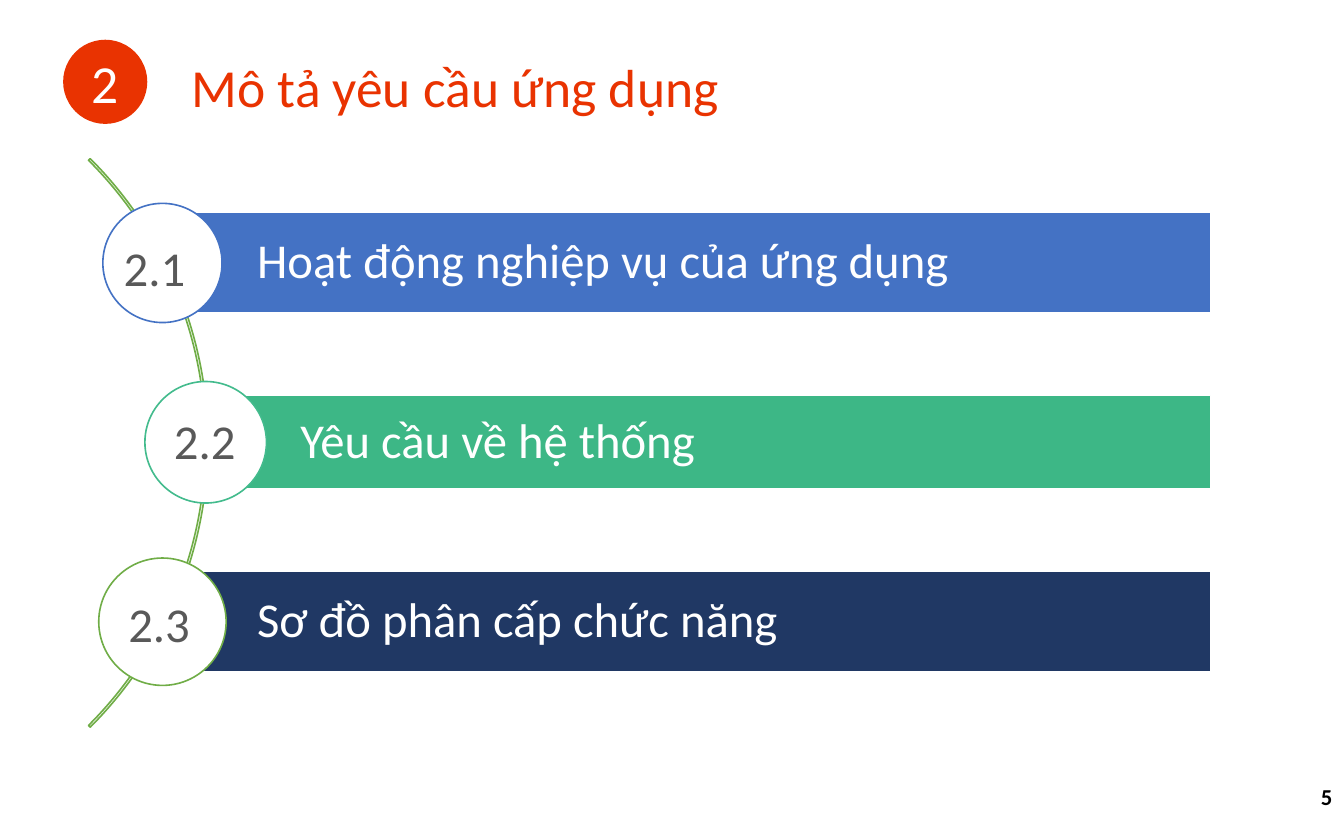
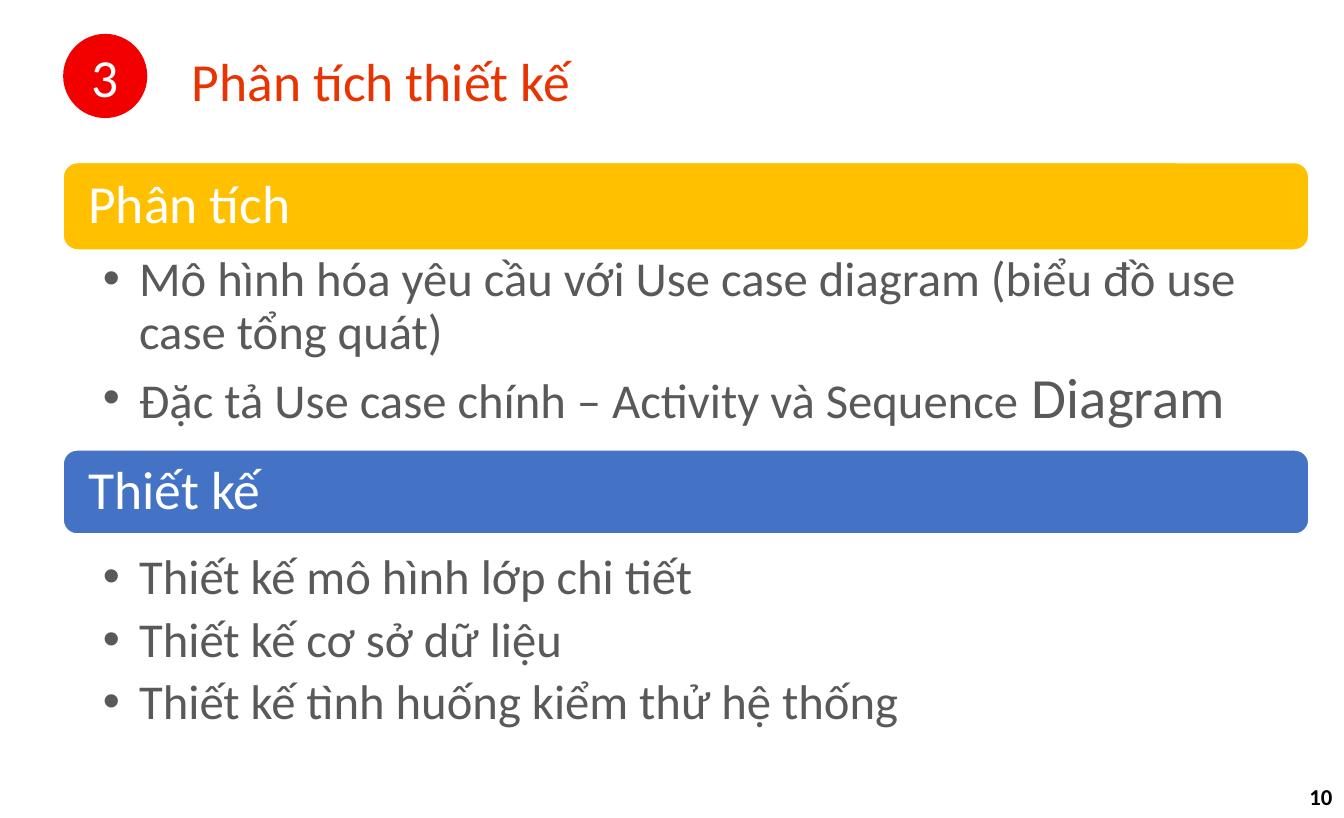
from pptx import Presentation
from pptx.dml.color import RGBColor
from pptx.enum.shapes import MSO_SHAPE
from pptx.enum.text import MSO_ANCHOR, MSO_AUTO_SIZE, PP_ALIGN
from pptx.util import Inches, Pt

COLUMNS, ROWS = 115, 70
WHITE, BLACK, GRAY = "FFFFFF", "000000", "595959"
ORANGE, RED, GOLD = "E93301", "F20000", "FFC000"
BLUE, NAVY, GREEN = "4472C4", "203864", "70AD47"
TEAL, TEAL_EDGE = "3DB786", "43BB8D"


def color(value):
    return RGBColor.from_string(value)


class Deck:
    font = "Calibri"
    heading_size, text_size, number_size = 33, 30, 14
    bullet_indent = Inches(0.31)

    def __init__(self):
        self.deck = Presentation()
        self.deck.slide_width, self.deck.slide_height = Inches(11.5), Inches(7)
        self.page = None

    def area(self, left, top, width, height):
        column = self.deck.slide_width / COLUMNS
        row = self.deck.slide_height / ROWS
        return (round(left * column), round(top * row),
                round(width * column), round(height * row))

    def new_page(self, layout, number, title, title_area, section, badge_top, badge_fill):
        self.page = self.deck.slides.add_slide(self.deck.slide_layouts.get_by_name(layout))
        heading = self.page.shapes.title
        self.place(heading, title_area)
        self.fill_text(heading, title, self.heading_size, ORANGE)
        badge = self.shape(MSO_SHAPE.FLOWCHART_CONNECTOR, (5.4, badge_top, 7.2, 7.2), badge_fill)
        self.fill_text(badge, section, self.heading_size, WHITE,
                       PP_ALIGN.CENTER, MSO_ANCHOR.MIDDLE)
        self.label((89.1, 66.3, 25.9, 3.7), number, self.number_size, BLACK,
                   PP_ALIGN.RIGHT, MSO_ANCHOR.MIDDLE, bold=True)

    def place(self, box, area):
        box.left, box.top, box.width, box.height = self.area(*area)

    def style(self, span, size, ink, bold=False):
        span.font.name, span.font.size = self.font, Pt(size)
        span.font.color.rgb, span.font.bold = color(ink), bold

    def fill_text(self, box, text, size, ink, align=PP_ALIGN.LEFT,
                  anchor=MSO_ANCHOR.TOP, bold=False):
        frame = box.text_frame
        frame.text = text
        frame.word_wrap, frame.auto_size = True, MSO_AUTO_SIZE.NONE
        frame.vertical_anchor = anchor
        para = frame.paragraphs[0]
        para.alignment = align
        for span in para.runs:
            self.style(span, size, ink, bold)
        return frame

    def label(self, area, text, size, ink, align=PP_ALIGN.LEFT,
              anchor=MSO_ANCHOR.TOP, bold=False):
        box = self.page.shapes.add_textbox(*self.area(*area))
        self.fill_text(box, text, size, ink, align, anchor, bold)

    def shape(self, kind, area, fill=None, line=None):
        box = self.page.shapes.add_shape(kind, *self.area(*area))
        box.shadow.inherit = False
        if fill:
            box.fill.solid()
            box.fill.fore_color.rgb = color(fill)
        else:
            box.fill.background()
        if line:
            box.line.color.rgb, box.line.width = color(line), Pt(1)
        else:
            box.line.fill.background()
        return box

    def bar(self, kind, area, fill, text, size, inset):
        box = self.shape(kind, area, fill, WHITE)
        frame = self.fill_text(box, text, size, WHITE, anchor=MSO_ANCHOR.MIDDLE)
        frame.margin_left = Inches(inset)
        frame.paragraphs[0].line_spacing = 0.9

    def bullets(self, body, area, items):
        self.place(body, area)
        frame = self.fill_text(body, "", self.text_size, GRAY)
        frame.margin_left, frame.margin_right = Inches(0.34), Inches(0.23)
        frame.margin_top = frame.margin_bottom = Inches(0.04)
        for index, (text, ending, ending_size) in enumerate(items):
            para = frame.add_paragraph() if index else frame.paragraphs[0]
            para.text = text
            para.alignment = PP_ALIGN.LEFT
            para.line_spacing, para.space_before, para.space_after = 0.9, Pt(0), Pt(6)
            properties = para._p.get_or_add_pPr()
            properties.set("marL", str(self.bullet_indent))
            properties.set("indent", str(-self.bullet_indent))
            self.style(para.runs[0], self.text_size, GRAY)
            if ending:
                span = para.add_run()
                span.text = ending
                self.style(span, ending_size, GRAY)


def requirements_page(deck):
    deck.new_page("Title Only", "5", "Mô tả yêu cầu ứng dụng", (15.4, 4.1, 53.8, 6.6),
                  "2", 3.4, ORANGE)
    arc = deck.shape(MSO_SHAPE.BLOCK_ARC, (-51, 3.5, 68.8, 68.8), line=GREEN)
    for index, value in enumerate((189, 27, 0.003)):
        arc.adjustments[index] = value

    first_middle, step, bar_right = 22.5, 15.35, 103.6
    topics = [
        ("Hoạt động nghiệp vụ của ứng dụng", BLUE, BLUE, 13.9, 8.6, 10.2),
        ("Yêu cầu về hệ thống", TEAL, TEAL_EDGE, 17.6, 8, 10.4),
        ("Sơ đồ phân cấp chức năng", NAVY, GREEN, 13.9, 8.6, 10.9),
    ]
    for index, (text, fill, edge, left, height, diameter) in enumerate(topics):
        middle = first_middle + index * step
        deck.bar(MSO_SHAPE.RECTANGLE, (left, middle - height / 2, bar_right - left, height),
                 fill, text, deck.text_size, 0.81)
        deck.shape(MSO_SHAPE.OVAL, (left - diameter / 2, middle - diameter / 2,
                                    diameter, diameter), WHITE, edge)

    for index, (left, top) in enumerate([(9.6, 19.9), (13.9, 34.7), (10, 50.3)], 1):
        deck.label((left, top, 8.6, 6.1), f"2.{index}", deck.text_size, GRAY)


def design_page(deck):
    deck.new_page("Two Content", "10", "Phân tích thiết kế", (15.4, 3.6, 38.9, 6.6),
                  "3", 2.9, RED)
    left, width = 5.4, 106.6
    sections = [
        ("Phân tích", GOLD, 13.9, 7.5, 21.4, 16.7, [
            ("Mô hình hóa yêu cầu với Use case diagram (biểu đồ use case tổng quát)", "", 0),
            ("Đặc tả Use case chính – Activity và Sequence", " Diagram", 35),
        ]),
        ("Thiết kế", BLUE, 38.5, 7.2, 46.9, 22.5, [
            ("Thiết kế mô hình lớp chi tiết", "", 0),
            ("Thiết kế cơ sở dữ liệu", "", 0),
            ("Thiết kế tình huống kiểm thử hệ thống", "", 0),
        ]),
    ]
    bodies = list(deck.page.placeholders)[1:]
    for body, section in zip(bodies, sections):
        heading, fill, top, height, list_top, list_height, items = section
        deck.bar(MSO_SHAPE.ROUNDED_RECTANGLE, (left, top, width, height),
                 fill, heading, deck.heading_size, 0.18)
        deck.bullets(body, (left, list_top, width, list_height), items)


def main():
    deck = Deck()
    requirements_page(deck)
    design_page(deck)
    deck.deck.save("out.pptx")


if __name__ == "__main__":
    main()
